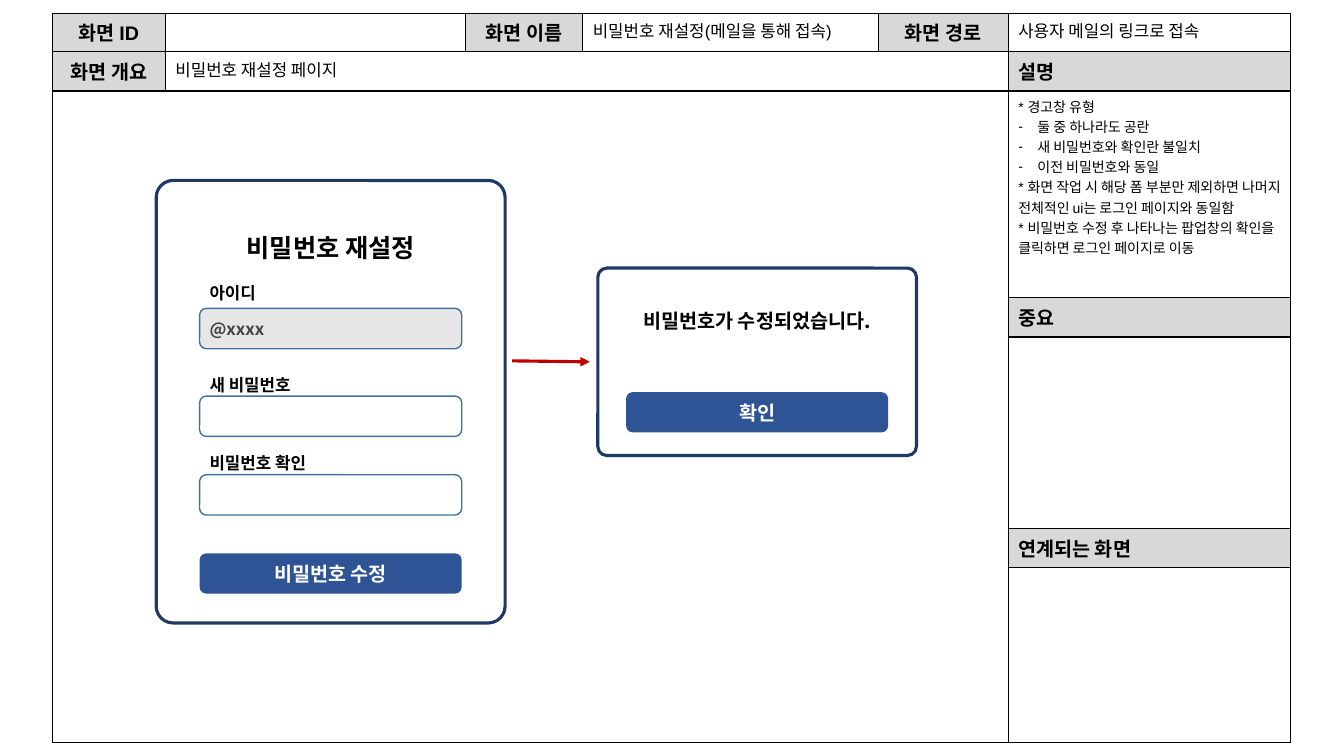
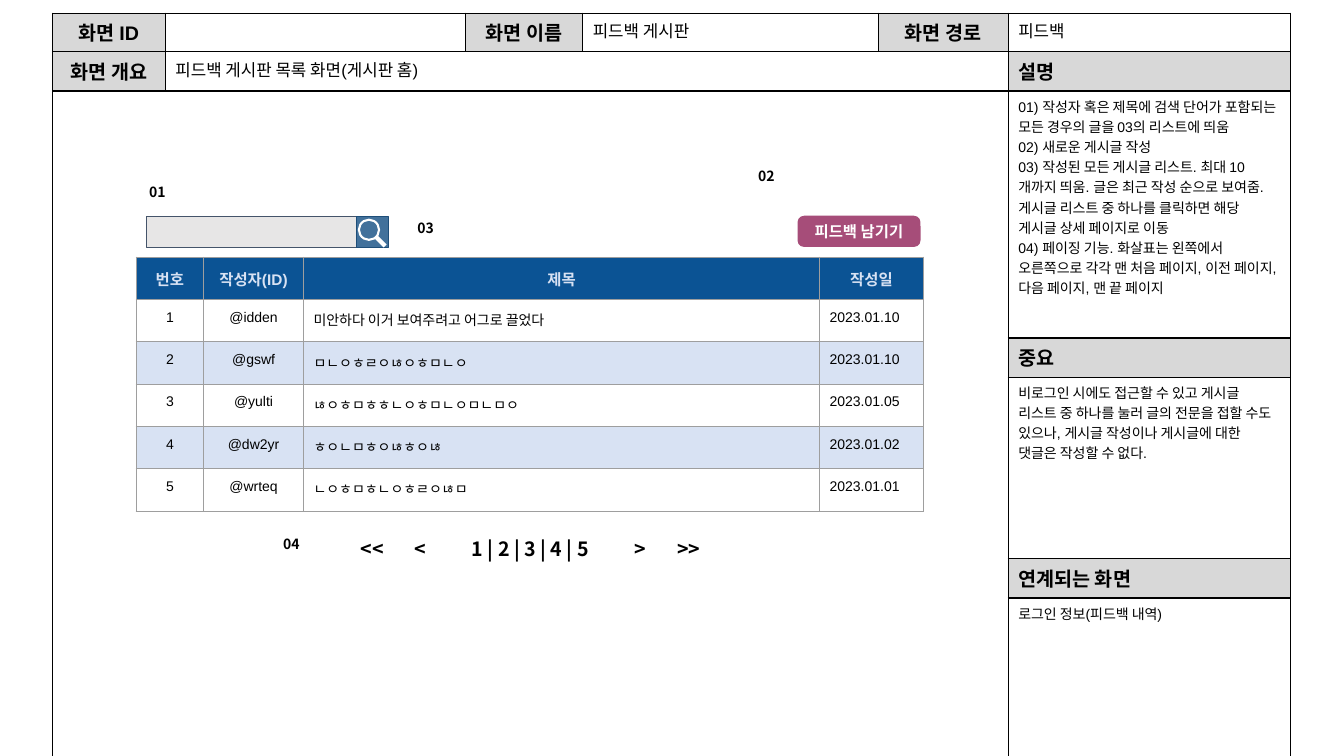
from collections import namedtuple
from itertools import accumulate

from lxml.etree import SubElement
from pptx import Presentation
from pptx.dml.color import RGBColor
from pptx.enum.shapes import MSO_CONNECTOR, MSO_SHAPE
from pptx.enum.text import MSO_ANCHOR, PP_ALIGN
from pptx.oxml.ns import qn
from pptx.util import Inches, Pt

Box = namedtuple("Box", "left top width height")
Style = namedtuple("Style", "size bold color font", defaults=("000000", "Arial"))

KOREAN_FONT = "Noto Sans CJK KR"
HEADING = Style(14, True)
VALUE = Style(12, False)
NOTE = Style(10, False)
FORM_TITLE = Style(18, True, font=KOREAN_FONT)
FORM_LABEL = Style(12, True, font=KOREAN_FONT)
FORM_VALUE = Style(12, True, "434343", KOREAN_FONT)
FORM_MESSAGE = Style(14, True, font=KOREAN_FONT)
FORM_BUTTON = Style(14, True, "FFFFFF", KOREAN_FONT)
MARKER = Style(10, True, font=KOREAN_FONT)
BOARD_HEADER = Style(11, True, "D8E2F3")
BOARD_BUTTON = Style(11, True, "FFFFFF")

HEADING_FILL = "D8D8D8"
NAVY = "1F3864"
BUTTON_BLUE = "2F5496"
FIELD_LINE = "42719B"
PALE_GRAY = "E7E6E6"
FRAME_COLUMNS = [1.12, 2.98, 1.16, 2.93, 1.29, 2.8]
CENTER, LEFT = PP_ALIGN.CENTER, PP_ALIGN.LEFT


def rgb(color):
    return RGBColor.from_string(color)


def inches(values):
    return [Inches(value) for value in values]


def add_run(paragraph, text, style):
    run = paragraph.add_run()
    run.text = text
    run.font.size = Pt(style.size)
    run.font.bold = style.bold
    run.font.name = style.font
    run.font.color.rgb = rgb(style.color)
    SubElement(run._r.get_or_add_rPr(), qn("a:ea"), typeface=KOREAN_FONT)


def add_dash(paragraph):
    properties = paragraph._p.get_or_add_pPr()
    indent = Inches(0.19)
    properties.set("marL", str(indent))
    properties.set("indent", str(-indent))
    SubElement(properties, qn("a:buFont"), typeface="Arial")
    SubElement(properties, qn("a:buChar"), char="-")


def write(text_frame, lines, style, align=LEFT):
    for index, line in enumerate(lines):
        paragraph = text_frame.add_paragraph() if index else text_frame.paragraphs[0]
        paragraph.alignment = align
        if line.startswith("- "):
            add_dash(paragraph)
        add_run(paragraph, line.removeprefix("- "), style)


def set_margins(target, vertical):
    target.margin_left = target.margin_right = Inches(0.1)
    target.margin_top = target.margin_bottom = Inches(vertical)


def add_text(slide, box, text, style, align=LEFT, margin=0.05):
    text_frame = slide.shapes.add_textbox(*inches(box)).text_frame
    text_frame.word_wrap = True
    set_margins(text_frame, margin)
    write(text_frame, [text], style, align)


def add_box(slide, box, kind=MSO_SHAPE.RECTANGLE, fill=None, line=None, line_width=1, corner=None):
    shape = slide.shapes.add_shape(kind, *inches(box))
    shape.shadow.inherit = False
    if corner is not None:
        shape.adjustments[0] = corner
    if fill:
        shape.fill.solid()
        shape.fill.fore_color.rgb = rgb(fill)
    else:
        shape.fill.background()
    if line:
        shape.line.color.rgb = rgb(line)
        shape.line.width = Pt(line_width)
    else:
        shape.line.fill.background()
    return shape


def add_panel(slide, box):
    add_box(slide, box, MSO_SHAPE.ROUNDED_RECTANGLE, line=NAVY, line_width=2.25, corner=0.048)


def add_field(slide, box, fill=None):
    add_box(slide, box, MSO_SHAPE.ROUNDED_RECTANGLE, fill, FIELD_LINE, corner=0.167)


def add_button(slide, box, text, fill=BUTTON_BLUE, style=FORM_BUTTON, corner=0.167):
    button = add_box(slide, box, MSO_SHAPE.ROUNDED_RECTANGLE, fill, corner=corner)
    button.text_frame.vertical_anchor = MSO_ANCHOR.MIDDLE
    set_margins(button.text_frame, 0.05)
    write(button.text_frame, [text], style, CENTER)


def add_line(slide, start, end, color, width, arrow=False):
    connector = slide.shapes.add_connector(MSO_CONNECTOR.STRAIGHT, *inches(start + end))
    connector.line.color.rgb = rgb(color)
    connector.line.width = Pt(width)
    if arrow:
        SubElement(connector.line._get_or_add_ln(), qn("a:tailEnd"), type="triangle")
    SubElement(connector._element.spPr, qn("a:effectLst"))


def add_border(cell, color, width):
    properties = cell._tc.get_or_add_tcPr()
    for side in ("a:lnL", "a:lnR", "a:lnT", "a:lnB"):
        border = SubElement(properties, qn(side), w=str(Pt(width)))
        fill = SubElement(border, qn("a:solidFill"))
        SubElement(fill, qn("a:srgbClr"), val=color)


def add_grid(slide, left, top, columns, rows, border, border_width):
    box = (left, top, sum(columns), sum(rows))
    table = slide.shapes.add_table(len(rows), len(columns), *inches(box)).table
    table.first_row = table.horz_banding = False
    for column, width in zip(table.columns, columns):
        column.width = Inches(width)
    for row, height in zip(table.rows, rows):
        row.height = Inches(height)
    for cell in table.iter_cells():
        add_border(cell, border, border_width)
        cell.fill.background()
    return table


def fill_cell(cell, lines, style, align=LEFT, fill=None, margin=0.05):
    set_margins(cell, margin)
    write(cell.text_frame, lines, style, align)
    if fill:
        cell.fill.solid()
        cell.fill.fore_color.rgb = rgb(fill)


def add_screen_frame(slide, rows, name, route, summary, sections):
    table = add_grid(slide, 0.52, 0.13, FRAME_COLUMNS, rows, "000000", 1)
    table.cell(1, 1).merge(table.cell(1, 4))
    table.cell(2, 0).merge(table.cell(6, 4))
    headings = {(0, 0): "화면 ID", (0, 2): "화면 이름", (0, 4): "화면 경로", (1, 0): "화면 개요"}
    for position, heading in headings.items():
        fill_cell(table.cell(*position), [heading], HEADING, CENTER, HEADING_FILL)
    for position, value in {(0, 3): name, (0, 5): route, (1, 1): summary}.items():
        fill_cell(table.cell(*position), [value], VALUE)
    for index, (heading, lines) in enumerate(zip(("설명", "중요", "연계되는 화면"), sections)):
        row = 1 + 2 * index
        fill_cell(table.cell(row, 5), [heading], HEADING, fill=HEADING_FILL)
        fill_cell(table.cell(row + 1, 5), lines, NOTE)
    for cell in table.iter_cells():
        if not cell.text_frame.text:
            SubElement(cell.text_frame.paragraphs[0]._p, qn("a:endParaRPr"), sz="1000")


def add_reset_form(slide, box):
    left, width = box.left + 0.43, 2.6
    add_panel(slide, box)
    add_text(slide, Box(left, box.top + 0.47, width, 0.4), "비밀번호 재설정", FORM_TITLE, CENTER)
    fields = [
        ("아이디", 0.97, 1.27, PALE_GRAY),
        ("새 비밀번호", 1.88, 2.14, None),
        ("비밀번호 확인", 2.65, 2.92, None),
    ]
    for label, label_top, field_top, fill in fields:
        add_text(slide, Box(left, box.top + label_top, 1.42, 0.3), label, FORM_LABEL)
        add_field(slide, Box(left, box.top + field_top, width, 0.4), fill)
    add_text(slide, Box(left, box.top + 1.32, 1.42, 0.3), "@xxxx", FORM_VALUE)
    add_button(slide, Box(left, box.top + 3.7, width, 0.4), "비밀번호 수정")


def add_popup(slide, box):
    left, width = box.left + 0.28, 2.6
    add_panel(slide, box)
    message = Box(left, box.top + 0.36, width, 0.57)
    add_text(slide, message, "비밀번호가 수정되었습니다.", FORM_MESSAGE, CENTER)
    add_button(slide, Box(left, box.top + 1.23, width, 0.4), "확인")


def add_search_bar(slide, box):
    side = box.height
    icon_left = box.left + box.width - side
    add_box(slide, Box(box.left, box.top, box.width - side, side), fill=PALE_GRAY,
            line="44546A", line_width=0.75)
    add_box(slide, Box(icon_left, box.top, side, side), fill=FIELD_LINE,
            line="1E4E79", line_width=0.75)
    add_box(slide, Box(icon_left + 0.02, box.top + 0.03, 0.2, 0.2), MSO_SHAPE.OVAL,
            line="FFFFFF", line_width=1.5)
    add_line(slide, (icon_left + 0.19, box.top + 0.2), (icon_left + 0.28, box.top + 0.29),
             "FFFFFF", 3)


def add_board(slide, left, top):
    posts = [
        ("1", "@idden", "미안하다 이거 보여주려고 어그로 끌었다", "2023.01.10"),
        ("2", "@gswf", "ㅁㄴㅇㅎㄹㅇㄶㅇㅎㅁㄴㅇ", "2023.01.10"),
        ("3", "@yulti", "ㄶㅇㅎㅁㅎㅎㄴㅇㅎㅁㄴㅇㅁㄴㅁㅇ", "2023.01.05"),
        ("4", "@dw2yr", "ㅎㅇㄴㅁㅎㅇㄶㅎㅇㄶ", "2023.01.02"),
        ("5", "@wrteq", "ㄴㅇㅎㅁㅎㄴㅇㅎㄹㅇㄶㅁ", "2023.01.01"),
    ]
    rows = [0.42] * (len(posts) + 1)
    table = add_grid(slide, left, top, [0.67, 0.99, 5.12, 1.03], rows, "9E9E9E", 0.75)
    for column, heading in enumerate(("번호", "작성자(ID)", "제목", "작성일")):
        fill_cell(table.cell(0, column), [heading], BOARD_HEADER, CENTER, "0B5394", 0.1)
    for row, post in enumerate(posts, 1):
        fill = None if row % 2 else "D8E2F3"
        for column, value in enumerate(post):
            align = CENTER if column < 2 else LEFT
            fill_cell(table.cell(row, column), [value], NOTE, align, fill, 0.1)


def add_pager(slide, left, top):
    labels = ("<<", "<", "1 | 2 | 3 | 4 | 5", ">", ">>")
    widths = (0.48, 0.48, 1.7, 0.48, 0.48)
    for label, width, right in zip(labels, widths, accumulate(widths, initial=left)):
        add_text(slide, Box(right, top, width, 0.44), label, FORM_MESSAGE, CENTER, 0.1)


def add_markers(slide, positions):
    for number, (left, top) in enumerate(positions, 1):
        add_text(slide, Box(left, top, 0.48, 0.37), f"{number:02}", MARKER, margin=0.1)


def build_reset_slide(slide):
    notes = [
        "* 경고창 유형",
        "- 둘 중 하나라도 공란",
        "- 새 비밀번호와 확인란 불일치",
        "- 이전 비밀번호와 동일",
        "* 화면 작업 시 해당 폼 부분만 제외하면 나머지 전체적인 ui는 로그인 페이지와 동일함",
        "* 비밀번호 수정 후 나타나는 팝업창의 확인을 클릭하면 로그인 페이지로 이동",
    ]
    add_screen_frame(slide, [0.38, 0.39, 2.05, 0.39, 1.9, 0.39, 1.73],
                     "비밀번호 재설정(메일을 통해 접속)", "사용자 메일의 링크로 접속",
                     "비밀번호 재설정 페이지", [notes, [], []])
    add_reset_form(slide, Box(1.55, 1.79, 3.46, 4.39))
    add_popup(slide, Box(5.93, 2.66, 3.16, 1.86))
    add_line(slide, (5.08, 3.58), (5.85, 3.59), "C00000", 2.25, arrow=True)


def build_board_slide(slide):
    notes = [
        "01) 작성자 혹은 제목에 검색 단어가 포함되는 모든 경우의 글을 03의 리스트에 띄움",
        "02) 새로운 게시글 작성",
        "03) 작성된 모든 게시글 리스트. 최대 10개까지 띄움. 글은 최근 작성 순으로 보여줌.",
        "게시글 리스트 중 하나를 클릭하면 해당 게시글 상세 페이지로 이동",
        "04) 페이징 기능. 화살표는 왼쪽에서 오른쪽으로 각각 맨 처음 페이지, 이전 페이지, "
        "다음 페이지, 맨 끝 페이지",
    ]
    important = ["비로그인 시에도 접근할 수 있고 게시글 리스트 중 하나를 눌러 글의 전문을 접할 수도 "
                 "있으나, 게시글 작성이나 게시글에 대한 댓글은 작성할 수 없다."]
    add_screen_frame(slide, [0.38, 0.39, 2.45, 0.39, 1.8, 0.39, 1.72],
                     "피드백 게시판", "피드백", "피드백 게시판 목록 화면(게시판 홈)",
                     [notes, important, ["로그인 정보(피드백 내역)"]])
    add_board(slide, 1.35, 2.55)
    add_button(slide, Box(7.91, 2.14, 1.22, 0.31), "피드백 남기기", "A64D79", BOARD_BUTTON, 0.211)
    add_search_bar(slide, Box(1.45, 2.15, 2.4, 0.31))
    add_markers(slide, [(1.38, 1.74), (7.42, 1.58), (4.04, 2.09), (2.71, 5.23)])
    add_pager(slide, 3.45, 5.23)


presentation = Presentation()
presentation.slide_width = Inches(13.33)
presentation.slide_height = Inches(7.5)
for build in (build_reset_slide, build_board_slide):
    build(presentation.slides.add_slide(presentation.slide_layouts[6]))
presentation.save("out.pptx")
